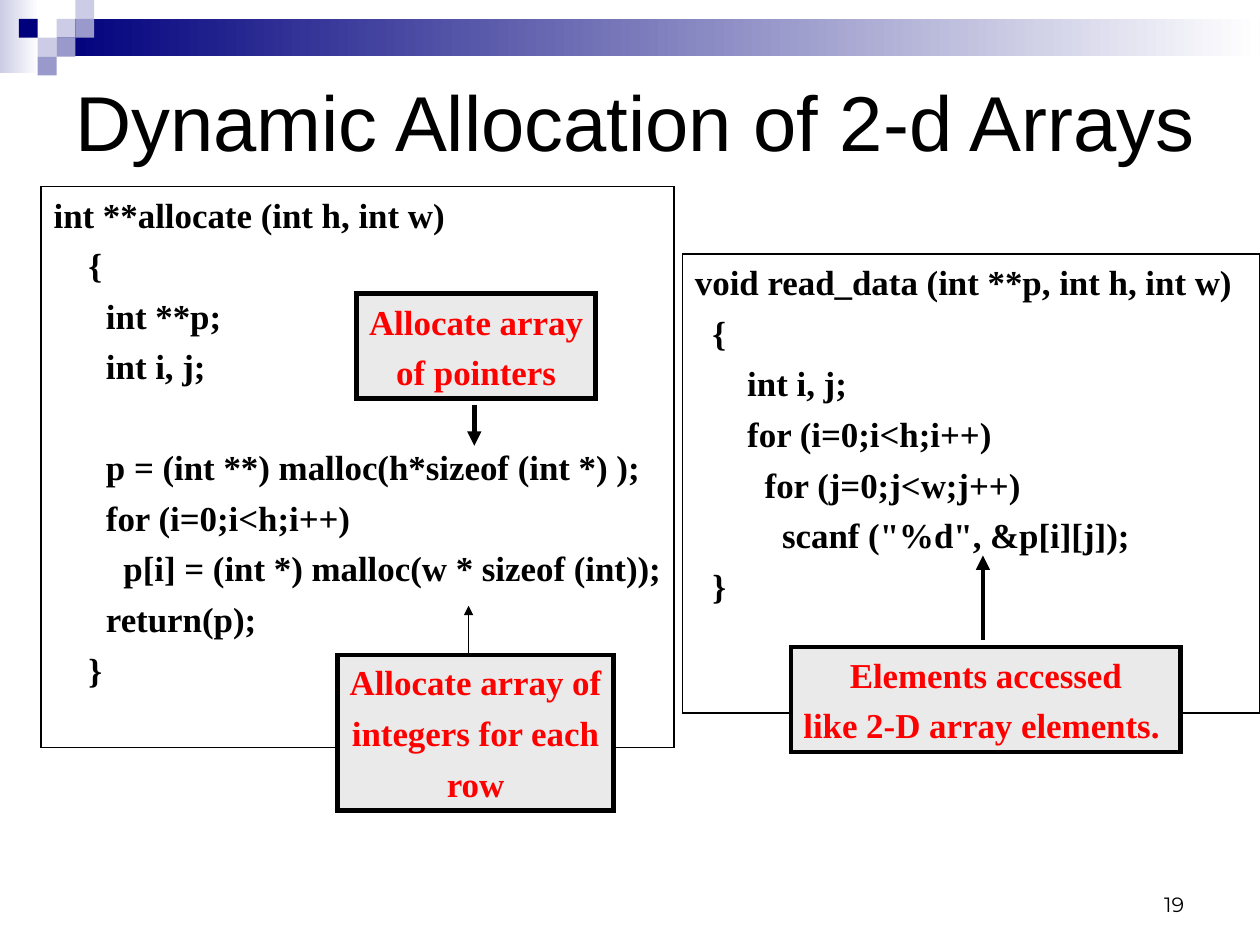
import pptx
import pptx.util
import pptx.dml.color
import pptx.enum.shapes
import pptx.enum.text
from dataclasses import dataclass
from lxml import etree

Inches, Pt = pptx.util.Inches, pptx.util.Pt
RGB = pptx.dml.color.RGBColor.from_string
ALIGN, ANCHOR = pptx.enum.text.PP_ALIGN, pptx.enum.text.MSO_ANCHOR
RECTANGLE = pptx.enum.shapes.MSO_SHAPE.RECTANGLE
STRAIGHT = pptx.enum.shapes.MSO_CONNECTOR.STRAIGHT
A = "{http://schemas.openxmlformats.org/drawingml/2006/main}"


@dataclass
class Theme:
    navy: str = "00007D"
    violet: str = "9999CC"
    lilac: str = "CCCCE6"
    white: str = "FFFFFF"
    black: str = "000000"
    red: str = "FF0000"
    grey: str = "EAEAEA"
    title_size: float = 49
    body_size: float = 22
    number_size: float = 13
    line_gap: float = 5.5
    line_height: float = 26


theme = Theme()
deck = pptx.Presentation()
# The page measures 28 by 21 cm
deck.slide_width, deck.slide_height = Inches(28 / 2.54), Inches(21 / 2.54)
slide = deck.slides.add_slide(deck.slide_layouts[6])


def add_box(left, top, width, height, fill=None, line=None, line_width=1):
    """Rectangle with a plain, gradient (two colours) or no fill."""
    box = slide.shapes.add_shape(
        RECTANGLE, Inches(left), Inches(top), Inches(width), Inches(height))
    box.shadow.inherit = False
    if fill is None:
        box.fill.background()
    elif isinstance(fill, tuple):
        box.fill.gradient()
        box.fill.gradient_angle = 0
        for stop, color in zip(box.fill.gradient_stops, fill):
            stop.color.rgb = RGB(color)
    else:
        box.fill.solid()
        box.fill.fore_color.rgb = RGB(fill)
    if line:
        box.line.color.rgb = RGB(line)
        box.line.width = Pt(line_width)
        outline = box.element.spPr.find(A + "ln")
        etree.SubElement(outline, A + "miter", lim="800000")
    else:
        box.line.fill.background()
    return box


def write(box, lines, font, size, color, align, anchor, bold=False, wrap=True):
    """One paragraph per line; an empty line widens the gap before the next."""
    frame = box.text_frame
    frame.word_wrap = wrap
    frame.vertical_anchor = anchor
    frame.margin_left = frame.margin_right = Inches(0.11)
    frame.margin_top = frame.margin_bottom = Inches(0.06)
    gap = 0
    for number, line in enumerate(lines):
        if not line:
            gap += theme.line_height + theme.line_gap
            continue
        paragraph = frame.add_paragraph() if number else frame.paragraphs[0]
        paragraph.text = line
        paragraph.alignment = align
        paragraph.space_before = Pt(gap)
        paragraph.font.name = font
        paragraph.font.size = Pt(size)
        paragraph.font.bold = bold
        paragraph.font.color.rgb = RGB(color)
        gap = theme.line_gap


# Header band and its mosaic of tiles
tile = 0.66 / 4
add_box(0, 0, 0.34, 0.64, (theme.lilac, theme.white))
add_box(0.5, tile, 10.52, 2 * tile, (theme.navy, theme.white))
for column, row, color in [
    (3, 1, theme.lilac), (4, 0, theme.lilac), (4, 1, theme.violet),
    (2, 2, theme.lilac), (1, 1, theme.navy), (3, 2, theme.violet),
    (2, 3, theme.violet),
]:
    add_box(column * tile, row * tile, tile, tile, color)

# Title and page number
page_number = slide.shapes.add_textbox(
    Inches(7.9), Inches(7.53), Inches(2.57), Inches(0.55))
write(page_number, ["19"], "Montserrat", theme.number_size, theme.black,
      ALIGN.RIGHT, ANCHOR.BOTTOM)
title = slide.shapes.add_textbox(
    Inches(0.55), Inches(0.55), Inches(10.21), Inches(1))
write(title, ["Dynamic Allocation of 2-d Arrays"], "Arial", theme.title_size,
      theme.black, ALIGN.LEFT, ANCHOR.MIDDLE)

# Code listings
allocate_code = """int **allocate (int h, int w)
    {
      int **p;
      int i, j;

      p = (int **) malloc(h*sizeof (int *) );
      for (i=0;i<h;i++)
        p[i] = (int *) malloc(w * sizeof (int));
      return(p);
    }"""
read_code = """void read_data (int **p, int h, int w)
  {
      int i, j;
      for (i=0;i<h;i++)
        for (j=0;j<w;j++)
          scanf ("%d", &p[i][j]);
  }"""
for place, code, wrap in [
    ((0.36, 1.63, 5.54, 4.91), allocate_code, False),
    ((5.97, 2.22, 5.05, 4.02), read_code, True),
]:
    listing = add_box(*place, line=theme.black)
    write(listing, code.split("\n"), "Times New Roman", theme.body_size,
          theme.black, ALIGN.LEFT, ANCHOR.TOP, bold=True, wrap=wrap)

# Callouts on the code
for place, lines in [
    ((3.12, 2.57, 2.09, 0.92), ["Allocate array", "of pointers"]),
    ((2.95, 5.73, 2.42, 1.36),
     ["Allocate array of", "integers for each", "row"]),
    ((6.92, 5.66, 3.41, 0.92),
     ["Elements accessed", "like 2-D array elements. "]),
]:
    callout = add_box(*place, fill=theme.grey, line=theme.black, line_width=3)
    write(callout, lines, "Times New Roman", theme.body_size, theme.red,
          ALIGN.CENTER, ANCHOR.MIDDLE, bold=True, wrap=False)

# Arrows from the callouts to the code
for x, start, end, width in [
    (4.15, 3.54, 3.9, 3), (8.6, 5.6, 4.86, 3), (4.1, 5.72, 5.3, 0.75),
]:
    arrow = slide.shapes.add_connector(
        STRAIGHT, Inches(x), Inches(start), Inches(x), Inches(end))
    arrow.line.color.rgb = RGB(theme.black)
    arrow.line.width = Pt(width)
    properties = arrow.element.spPr
    etree.SubElement(properties.find(A + "ln"), A + "tailEnd", type="triangle")
    etree.SubElement(properties, A + "effectLst")

deck.save("out.pptx")
